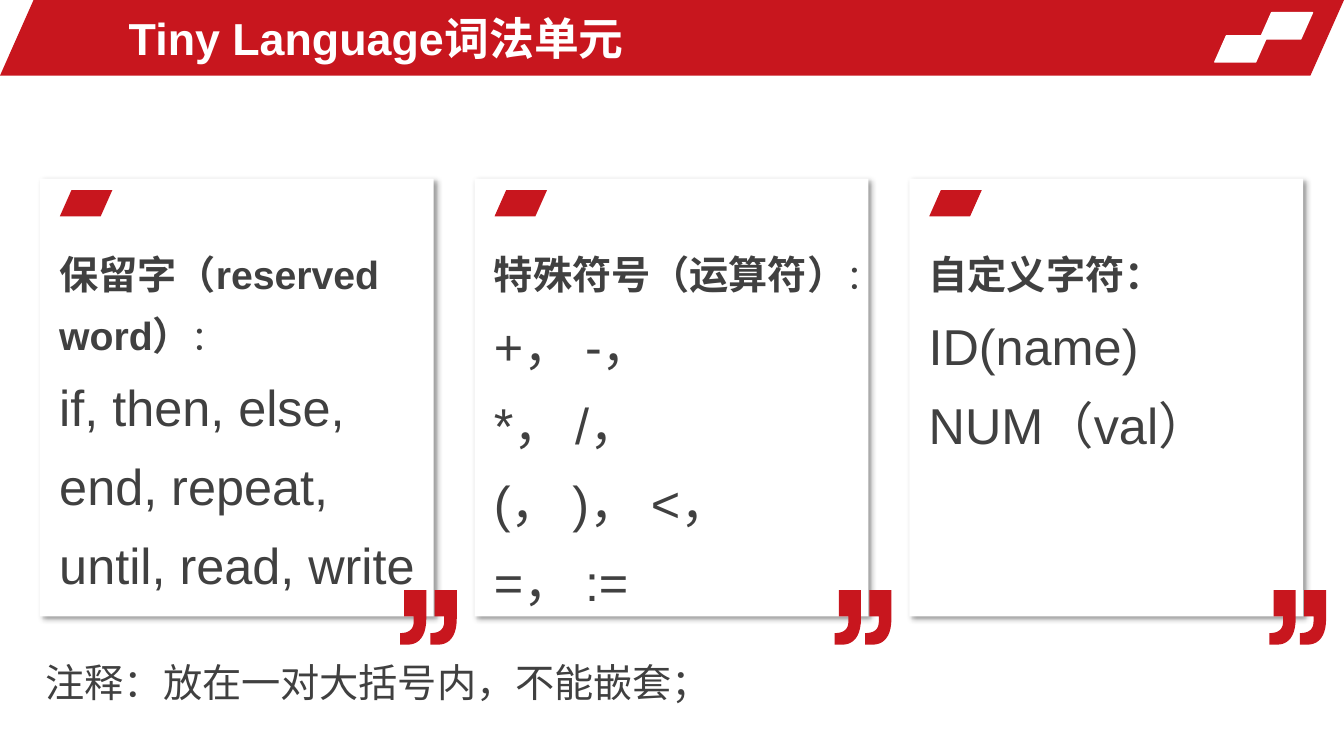
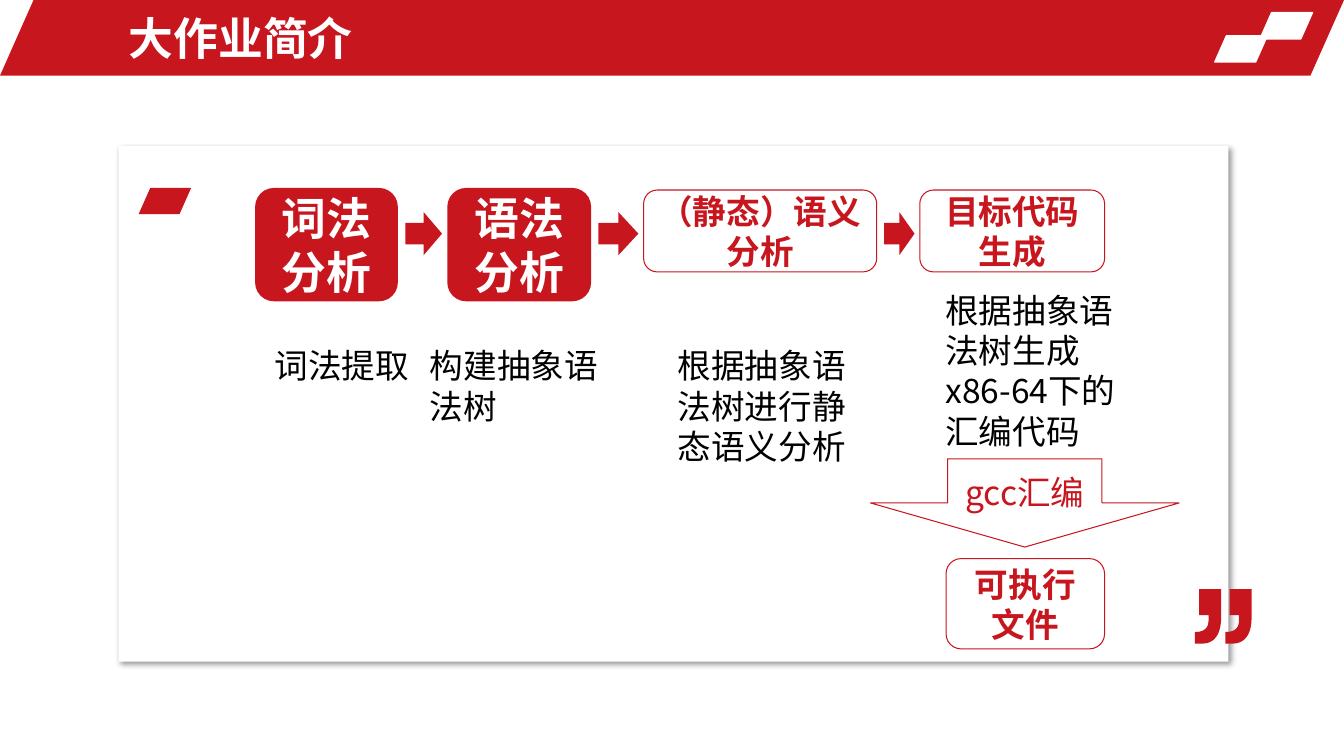
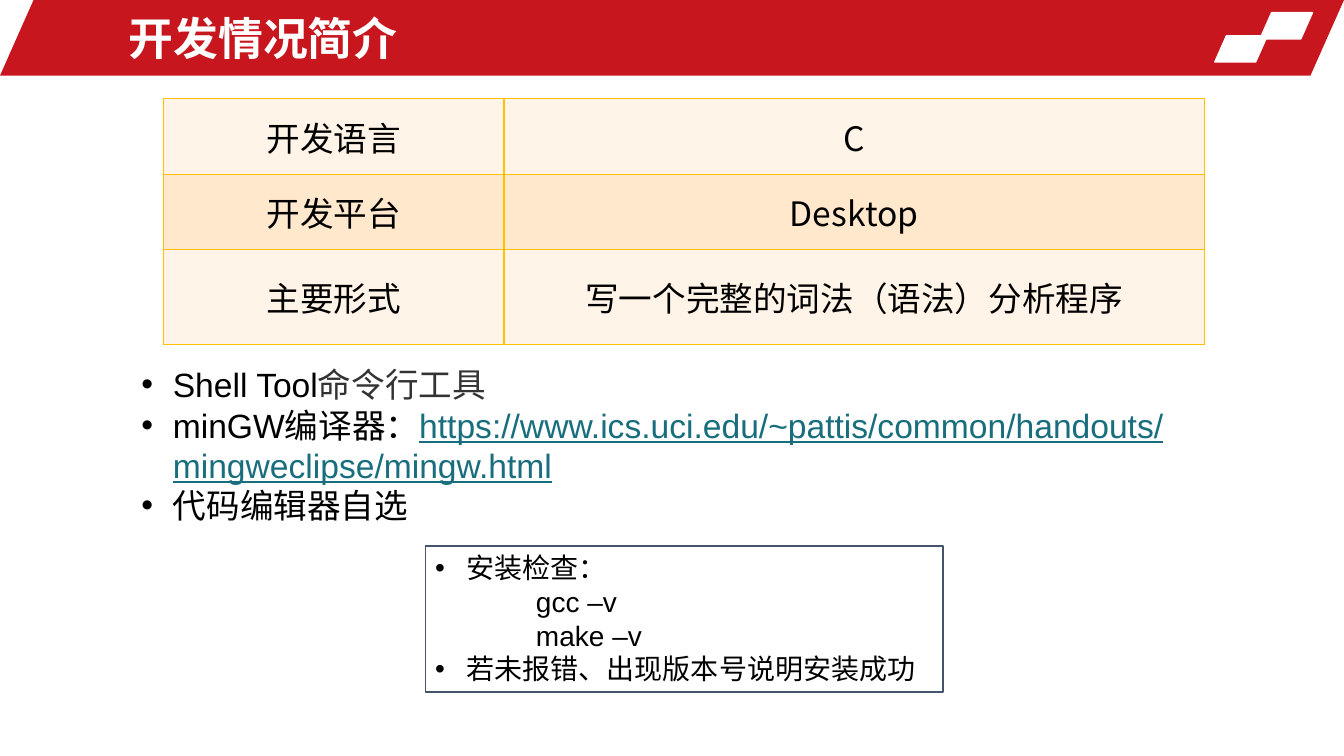
from dataclasses import dataclass, replace

from lxml.etree import SubElement
from pptx import Presentation
from pptx.dml.color import RGBColor
from pptx.enum.shapes import MSO_SHAPE
from pptx.enum.text import MSO_ANCHOR, MSO_AUTO_SIZE, PP_ALIGN
from pptx.oxml import parse_xml
from pptx.oxml.ns import nsdecls, qn
from pptx.util import Pt

PX = 9525
TITLE_AND_BODY, TITLE_ONLY = 1, 5


@dataclass(frozen=True)
class Theme:
    red: str = "C8161E"
    white: str = "FFFFFF"
    black: str = "000000"
    grey: str = "404040"
    command: str = "333333"
    link: str = "196E7D"
    frame: str = "44546A"
    grid: str = "FFC000"
    light_row: str = "FFF4E7"
    dark_row: str = "FFE8CC"
    latin: str = "Arial"
    chinese: str = "Noto Sans CJK SC"
    title: int = 32
    code: int = 36
    heading: int = 28
    body: int = 24
    small: int = 20
    slant: float = 0.444


@dataclass(frozen=True)
class Style:
    size: int
    color: str
    bold: bool = False
    font: str = "Arial"
    underline: bool = False


THEME = Theme()
HEADING = Style(THEME.heading, THEME.grey, bold=True)
COLON = Style(THEME.body, THEME.grey)
CODE = Style(THEME.code, THEME.grey)
LIST = Style(THEME.body, THEME.black)
CHINESE = replace(LIST, font=THEME.chinese)


def emu(*lengths):
    return [round(length * PX) for length in lengths]


def inside(box, left, top, width, height):
    return box[0] + left, box[1] + top, width, height


def write(frame, lines, align=PP_ALIGN.LEFT, spacing=1.0, anchor=MSO_ANCHOR.TOP):
    frame.word_wrap = True
    frame.auto_size = MSO_AUTO_SIZE.NONE
    frame.vertical_anchor = anchor
    for index, runs in enumerate(lines):
        paragraph = frame.add_paragraph() if index else frame.paragraphs[0]
        paragraph.alignment = align
        paragraph.line_spacing = spacing
        paragraph.space_before = Pt(0)
        if len(runs) == 1:
            paragraph.text = runs[0][0]
            format_runs(paragraph.runs, runs[0][1])
            continue
        for text, style in runs:
            run = paragraph.add_run()
            run.text = text
            format_runs([run], style)


def format_runs(runs, style):
    for run in runs:
        run.font.size = Pt(style.size)
        run.font.bold = style.bold
        run.font.underline = style.underline
        run.font.name = style.font
        run.font.color.rgb = RGBColor.from_string(style.color)
        SubElement(run._r.get_or_add_rPr(), qn("a:ea"), typeface=THEME.chinese)


def indent(paragraph, left, bullet=False):
    properties = paragraph._p.get_or_add_pPr()
    properties.set("marL", str(left * PX))
    properties.set("indent", str(-left * PX if bullet else 0))
    if bullet:
        SubElement(properties, qn("a:buFont"), typeface=THEME.latin)
        SubElement(properties, qn("a:buChar"), char="•")


def paint(shape, fill=None, line=None, weight=0.75):
    shape.shadow.inherit = False
    if fill:
        shape.fill.solid()
        shape.fill.fore_color.rgb = RGBColor.from_string(fill)
    else:
        shape.fill.background()
    if line:
        shape.line.color.rgb = RGBColor.from_string(line)
        shape.line.width = Pt(weight)
    else:
        shape.line.fill.background()


def add_preset(slide, preset, box, fill=None, line=None, weight=0.75, adjust=None):
    shape = slide.shapes.add_shape(preset, *emu(*box))
    paint(shape, fill, line, weight)
    if adjust is not None:
        shape.adjustments[0] = adjust
    return shape


def add_slanted(slide, box, fill, line=None):
    return add_preset(slide, MSO_SHAPE.PARALLELOGRAM, box, fill, line, 1, THEME.slant)


def add_text(slide, box, lines, spacing=1.0):
    text = slide.shapes.add_textbox(*emu(*box))
    write(text.text_frame, lines, spacing=spacing)


def add_titled_slide(prs, layout, title):
    slide = prs.slides.add_slide(prs.slide_layouts[layout])
    heading = slide.shapes.title
    heading.left, heading.top, heading.width, heading.height = emu(113, 5, 743, 62)
    style = Style(THEME.title, THEME.white, bold=True)
    write(heading.text_frame, [[(title, style)]], anchor=MSO_ANCHOR.MIDDLE)
    return slide


def put_band_on_master(prs, slide):
    parts = [add_slanted(slide, (0, 0, 1280, 72), THEME.red)]
    for left, top in ((1200, 12), (1157, 34)):
        parts.append(add_slanted(slide, (left, top, 50, 25), THEME.white, THEME.white))
    for number, part in enumerate(parts, 101):
        part.element.nvSpPr.cNvPr.id = number
        prs.slide_master.shapes.element.append(part.element)


def curve(start, control_a, control_b, end, steps=10):
    weights = []
    for step in range(1, steps + 1):
        t = step / steps
        weights.append(((1 - t) ** 3, 3 * t * (1 - t) ** 2, 3 * t * t * (1 - t), t ** 3))
    corners = (start, control_a, control_b, end)
    return [tuple(sum(w * c[axis] for w, c in zip(row, corners)) for axis in (0, 1))
            for row in weights]


def add_quote_mark(slide, left, top):
    outline = [(25, 0), (25, 27), *curve((25, 27), (25, 44), (18, 52), (7, 52)),
               (0, 52), (0, 41), *curve((0, 41), (9, 41), (13, 37), (13, 30)),
               (13, 25), (4, 25), (4, 0)]
    commas = [[emu(left + shift + x, top + y) for x, y in outline] for shift in (29, 0)]
    builder = slide.shapes.build_freeform(*commas[0][0])
    builder.add_line_segments(commas[0][1:])
    builder.move_to(*commas[1][0])
    builder.add_line_segments(commas[1][1:])
    paint(builder.convert_to_shape(), THEME.red)


def add_card(slide, box, chip_drop, quote_lift):
    left, top, width, height = box
    card = add_preset(slide, MSO_SHAPE.ROUNDED_RECTANGLE, box, THEME.white, adjust=0)
    effects = card.element.spPr.find(qn("a:effectLst"))
    effects.append(parse_xml(
        f'<a:outerShdw {nsdecls("a")} blurRad="50800" dist="38100" dir="2700000" '
        'algn="tl" rotWithShape="0"><a:srgbClr val="000000"><a:alpha val="40000"/>'
        '</a:srgbClr></a:outerShdw>'))
    add_slanted(slide, inside(box, 19, chip_drop, 50, 25), THEME.red)
    add_quote_mark(slide, left + width - 32, top + height - quote_lift)


def add_token_cards(slide, box):
    groups = [
        (347, [[("保留字（reserved word）", HEADING), ("：", COLON)],
               [("if, then, else, end, repeat, until, read, write", CODE)]]),
        (288, [[("特殊符号（运算符）", HEADING), ("：", COLON)],
               [("+， -，\v*， /，\v(， )， <，\v=， :=", CODE)]]),
        (212, [[("自定义字符：", HEADING)], [("ID(name)", CODE)], [("NUM（val）", CODE)]]),
    ]
    card_width, gap = 375, 39
    for index, (text_height, lines) in enumerate(groups):
        card = inside(box, index * (card_width + gap), 0, card_width, box[3])
        add_card(slide, card, 11, 25)
        add_text(slide, inside(card, 9, 50, 367, text_height), lines, 1.3)


def add_step(slide, box, label, filled=False, bold=True, preset=MSO_SHAPE.ROUNDED_RECTANGLE):
    if filled:
        step = add_preset(slide, preset, box, THEME.red)
        style = Style(THEME.title, THEME.white, bold, THEME.chinese)
    else:
        step = add_preset(slide, preset, box, line=THEME.red)
        style = Style(THEME.body, THEME.red, bold, THEME.chinese)
    write(step.text_frame, [[(label, style)]], PP_ALIGN.CENTER, anchor=MSO_ANCHOR.MIDDLE)


def add_compile_flow(slide, box):
    add_card(slide, box, 40, 69)
    steps = [
        ("词法分析", True, (130, 40, 136, 108)),
        ("语法分析", True, (313, 40, 137, 108)),
        ("（静态）语义分析", False, (500, 42, 222, 78)),
        ("目标代码生成", False, (763, 42, 176, 78)),
    ]
    for label, filled, place in steps:
        add_step(slide, inside(box, *place), label, filled)
    for (_, _, step), (_, _, following) in zip(steps, steps[1:]):
        right = step[0] + step[2]
        arrow = inside(box, right + 7, 63, following[0] - right - 12, 41)
        add_preset(slide, MSO_SHAPE.RIGHT_ARROW, arrow, THEME.red)
    notes = [
        ("词法提取", (139, 185, 169, 48)),
        ("构建抽象语法树", (287, 185, 206, 87)),
        ("根据抽象语法树进行静态语义分析", (523, 185, 206, 126)),
        ("根据抽象语法树生成x86-64下的汇编代码", (778, 132, 206, 165)),
    ]
    for note, place in notes:
        add_text(slide, inside(box, *place), [[(note, CHINESE)]])
    add_step(slide, inside(box, 788, 393, 151, 86), "可执行文件")
    add_step(slide, inside(box, 716, 298, 294, 84), "gcc汇编", bold=False,
             preset=MSO_SHAPE.DOWN_ARROW)


def border_cell(cell):
    properties = cell._tc.get_or_add_tcPr()
    for index, side in enumerate(("lnL", "lnR", "lnT", "lnB")):
        properties.insert(index, parse_xml(
            f'<a:{side} {nsdecls("a")} w="12700"><a:solidFill>'
            f'<a:srgbClr val="{THEME.grid}"/></a:solidFill></a:{side}>'))


def add_facts_table(slide, box):
    facts = [("开发语言", "C"), ("开发平台", "Desktop"),
             ("主要形式", "写一个完整的词法（语法）分析程序")]
    table = slide.shapes.add_table(3, 2, *emu(*box)).table
    for column, width in zip(table.columns, emu(324, box[2] - 324)):
        column.width = width
    for row, height in zip(table.rows, emu(72, 72, box[3] - 144)):
        row.height = height
    for row, fact in enumerate(facts):
        for column, text in enumerate(fact):
            cell = table.cell(row, column)
            write_cell(cell, text, THEME.dark_row if row % 2 else THEME.light_row)


def write_cell(cell, text, fill):
    cell.fill.solid()
    cell.fill.fore_color.rgb = RGBColor.from_string(fill)
    cell.vertical_anchor = MSO_ANCHOR.MIDDLE
    cell.text_frame.text = text
    paragraph = cell.text_frame.paragraphs[0]
    paragraph.alignment = PP_ALIGN.CENTER
    format_runs(paragraph.runs, CHINESE)
    border_cell(cell)


def fill_tool_list(slide, box):
    tools = slide.placeholders[1]
    tools.left, tools.top, tools.width, tools.height = emu(*box)
    url = "https://www.ics.uci.edu/~pattis/common/handouts/mingweclipse/mingw.html"
    write(tools.text_frame, [
        [("Shell Tool", LIST), ("命令行工具", replace(LIST, color=THEME.command))],
        [("minGW编译器：", LIST), (url, replace(LIST, color=THEME.link, underline=True))],
        [("代码编辑器自选", LIST)],
    ])
    for paragraph in tools.text_frame.paragraphs:
        indent(paragraph, 30, bullet=True)


def add_install_check(slide, box):
    check = add_preset(slide, MSO_SHAPE.RECTANGLE, box, THEME.white, THEME.frame, 1)
    style = replace(LIST, size=THEME.small)
    lines = ["安装检查：", "gcc –v", "make –v", "若未报错、出现版本号说明安装成功"]
    write(check.text_frame, [[(line, style)] for line in lines])
    for paragraph in check.text_frame.paragraphs:
        command = paragraph.text.endswith("–v")
        indent(paragraph, 96 if command else 30, bullet=not command)


def main():
    prs = Presentation()
    prs.slide_width, prs.slide_height = emu(1280, 720)

    tokens = add_titled_slide(prs, TITLE_ONLY, "Tiny Language词法单元")
    put_band_on_master(prs, tokens)
    add_token_cards(tokens, (38, 170, 1203, 417))
    comment_rule = "注释：放在一对大括号内，不能嵌套；"
    add_text(tokens, (34, 609, 761, 62), [[(comment_rule, replace(HEADING, bold=False))]], 1.3)

    project = add_titled_slide(prs, TITLE_ONLY, "大作业简介")
    add_compile_flow(project, (113, 139, 1057, 491))

    development = add_titled_slide(prs, TITLE_AND_BODY, "开发情况简介")
    add_facts_table(development, (156, 94, 991, 234))
    fill_tool_list(development, (125, 342, 1134, 165))
    add_install_check(development, (405, 520, 493, 139))

    prs.save("out.pptx")


if __name__ == "__main__":
    main()
